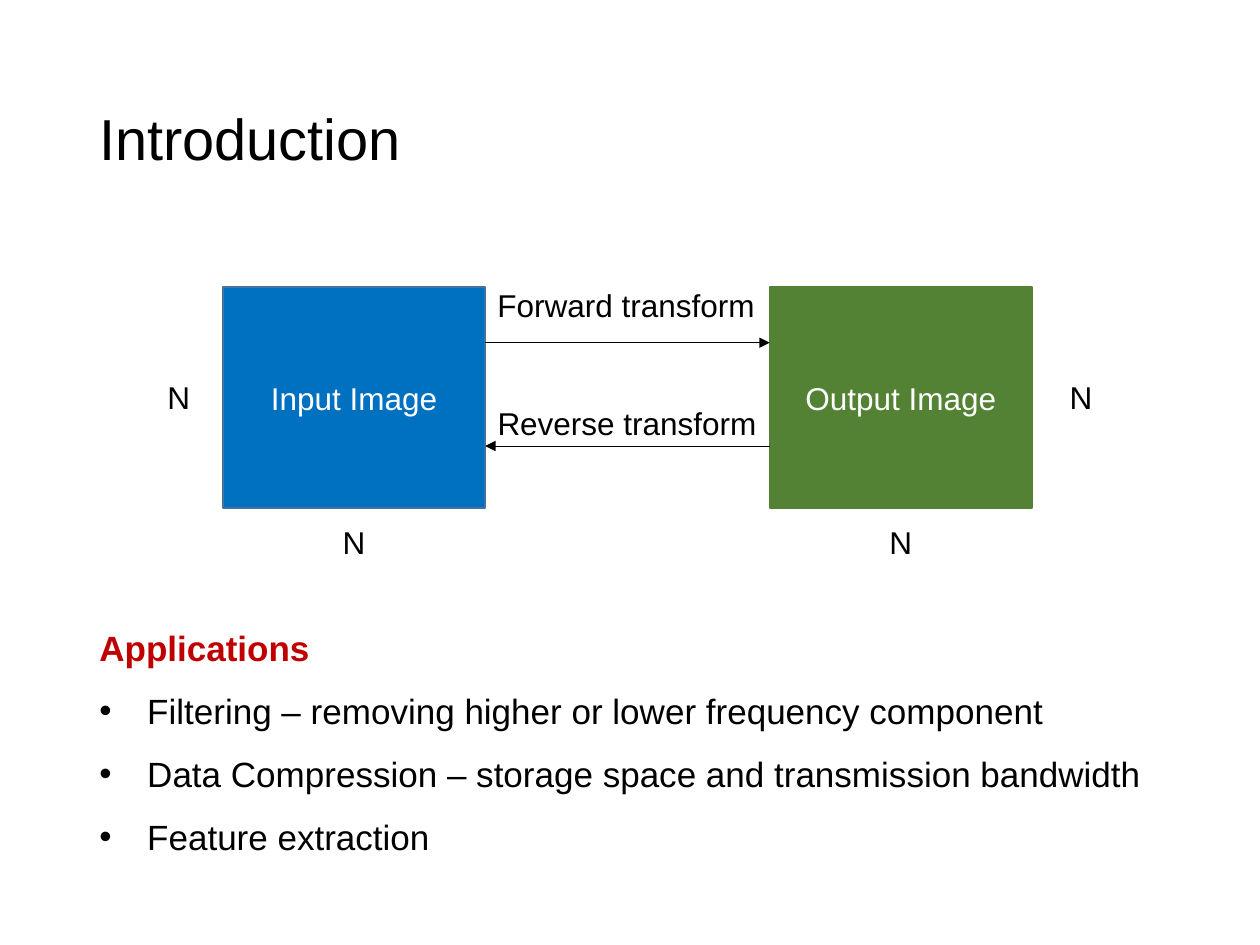
"""Build a slide introducing forward and reverse image transforms."""

from dataclasses import dataclass

from lxml.etree import SubElement
from pptx import Presentation
from pptx.dml.color import RGBColor as Rgb
from pptx.enum.shapes import MSO_CONNECTOR as Connector, MSO_SHAPE as Shape
from pptx.enum.text import MSO_ANCHOR as Anchor, MSO_AUTO_SIZE as AutoSize, PP_ALIGN as Align
from pptx.oxml.ns import qn
from pptx.slide import Slide
from pptx.text.text import _Paragraph as Paragraph
from pptx.util import Inches, Pt


@dataclass(frozen=True)
class Theme:
    font: str = "Arial"
    ink: str = "000000"
    paper: str = "FFFFFF"
    accent: str = "C00000"
    input_fill: str = "0070C0"
    input_line: str = "43739E"
    output_fill: str = "548235"
    output_line: str = "538035"
    title_size: float = 33
    body_size: float = 20
    label_size: float = 18
    outline: float = 1
    arrow: float = 0.5


@dataclass(frozen=True)
class ImageBox:
    text: str
    left: float
    fill: str
    line: str
    side_label_left: float


@dataclass(frozen=True)
class Transform:
    text: str
    label_top: float
    label_width: float
    start: float
    end: float
    level: float


THEME = Theme()
BOX_TOP, BOX_WIDTH, BOX_HEIGHT = 2.28, 2.08, 1.75
LABEL_HEIGHT, SIZE_WIDTH = 0.4, 0.38
MARGIN, INDENT = 0.69, 0.38
INPUT_LEFT, OUTPUT_LEFT = 1.77, 6.11
INPUT_RIGHT = INPUT_LEFT + BOX_WIDTH

IMAGES = (
    ImageBox("Input Image", INPUT_LEFT, THEME.input_fill, THEME.input_line, 1.23),
    ImageBox("Output Image", OUTPUT_LEFT, THEME.output_fill, THEME.output_line, 8.39),
)
TRANSFORMS = (
    Transform("Forward transform", 2.22, 2.26, INPUT_RIGHT, OUTPUT_LEFT, 2.72),
    Transform("Reverse transform", 3.16, 2.28, OUTPUT_LEFT, INPUT_RIGHT, 3.54),
)
APPLICATIONS = (
    "Filtering – removing higher or lower frequency component",
    "Data Compression – storage space and transmission bandwidth",
    "Feature extraction",
)


def style(para: Paragraph, size: float, color: str, bold: bool = False) -> None:
    for span in para.runs:
        span.font.name = THEME.font
        span.font.size = Pt(size)
        span.font.bold = bold
        span.font.color.rgb = Rgb.from_string(color)


def add_text(page: Slide, text: str, left: float, top: float, width: float,
             height: float, size: float, wrap: bool = False):
    box = page.shapes.add_textbox(Inches(left), Inches(top), Inches(width), Inches(height))
    frame = box.text_frame
    frame.word_wrap = wrap
    frame.text = text
    for para in frame.paragraphs:
        style(para, size, THEME.ink)
    return frame


def add_label(page: Slide, text: str, left: float, top: float, width: float) -> None:
    frame = add_text(page, text, left, top, width, LABEL_HEIGHT, THEME.label_size)
    frame.auto_size = AutoSize.SHAPE_TO_FIT_TEXT


def add_title(page: Slide) -> None:
    frame = add_text(page, "Introduction", MARGIN, 0.4, 8.62, 1.45, THEME.title_size, wrap=True)
    frame.vertical_anchor = Anchor.MIDDLE
    frame.paragraphs[0].line_spacing = 0.9


def add_image_box(page: Slide, image: ImageBox) -> None:
    box = page.shapes.add_shape(Shape.RECTANGLE, Inches(image.left), Inches(BOX_TOP),
                                Inches(BOX_WIDTH), Inches(BOX_HEIGHT))
    box.shadow.inherit = False
    box.fill.solid()
    box.fill.fore_color.rgb = Rgb.from_string(image.fill)
    box.line.color.rgb = Rgb.from_string(image.line)
    box.line.width = Pt(THEME.outline)
    frame = box.text_frame
    frame.text = image.text
    frame.vertical_anchor = Anchor.MIDDLE
    para = frame.paragraphs[0]
    para.alignment = Align.CENTER
    style(para, THEME.label_size, THEME.paper)
    add_label(page, "N", image.side_label_left,
              BOX_TOP + (BOX_HEIGHT - LABEL_HEIGHT) / 2, SIZE_WIDTH)
    add_label(page, "N", image.left + (BOX_WIDTH - SIZE_WIDTH) / 2, 4.1, SIZE_WIDTH)


def add_transform(page: Slide, transform: Transform) -> None:
    level = Inches(transform.level)
    arrow = page.shapes.add_connector(Connector.STRAIGHT, Inches(transform.start), level,
                                      Inches(transform.end), level)
    arrow.line.color.rgb = Rgb.from_string(THEME.ink)
    arrow.line.width = Pt(THEME.arrow)
    SubElement(arrow.line._get_or_add_ln(), qn("a:tailEnd"), type="triangle")
    SubElement(arrow._element.spPr, qn("a:effectLst"))
    add_label(page, transform.text, INPUT_RIGHT, transform.label_top, transform.label_width)


def add_bullet(para: Paragraph) -> None:
    properties = para._p.get_or_add_pPr()
    properties.set("marL", str(Inches(INDENT)))
    properties.set("indent", str(-Inches(INDENT)))
    SubElement(properties, qn("a:buFont"), typeface=THEME.font)
    SubElement(properties, qn("a:buChar"), char="•")


def add_applications(page: Slide) -> None:
    text = "\n".join(("Applications", *APPLICATIONS))
    frame = add_text(page, text, MARGIN, 4.76, 8.81, 2.12, THEME.body_size, wrap=True)
    frame.auto_size = AutoSize.SHAPE_TO_FIT_TEXT
    heading, *items = frame.paragraphs
    style(heading, THEME.body_size, THEME.accent, bold=True)
    for para in items:
        add_bullet(para)
    for para in frame.paragraphs:
        para.line_spacing = 1.5


def main() -> None:
    deck = Presentation()
    deck.slide_width, deck.slide_height = Inches(10), Inches(7.5)
    page = deck.slides.add_slide(deck.slide_layouts[6])
    add_title(page)
    for image in IMAGES:
        add_image_box(page, image)
    for transform in TRANSFORMS:
        add_transform(page, transform)
    add_applications(page)
    deck.save("out.pptx")


if __name__ == "__main__":
    main()
